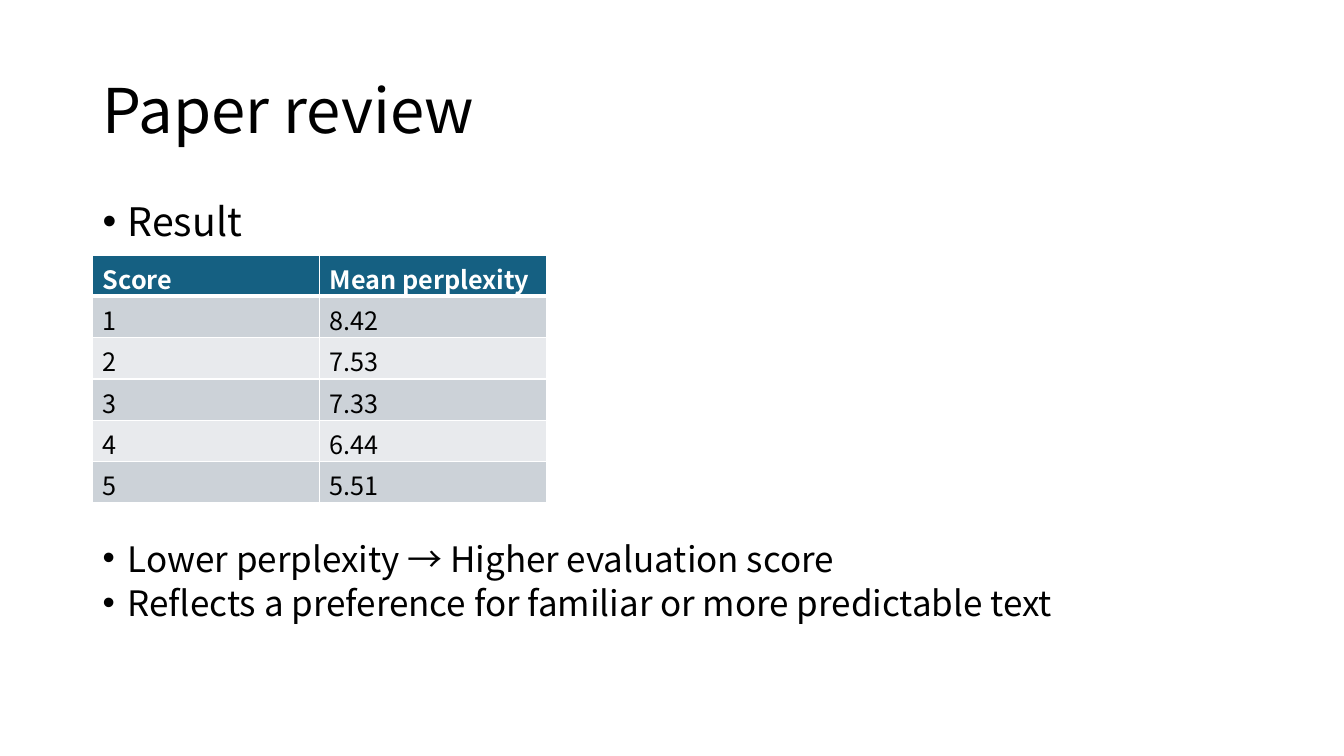
from pptx import Presentation
from pptx.dml.color import RGBColor
from pptx.enum.text import MSO_ANCHOR
from pptx.oxml import parse_xml
from pptx.oxml.ns import nsdecls
from pptx.util import Inches, Pt

FONT = "Noto Sans CJK KR"
COLORS = {
    "text": "000000",
    "white": "FFFFFF",
    "header": "156082",
    "odd": "CCD2D8",
    "even": "E8EAED",
}
LEFT, WIDTH = 0.92, 11.5
RESULTS = [
    ("Score", "Mean perplexity"),
    ("1", "8.42"),
    ("2", "7.53"),
    ("3", "7.33"),
    ("4", "6.44"),
    ("5", "5.51"),
]


class Deck:
    def __init__(self):
        self.prs = Presentation()
        self.prs.slide_width = Inches(13.33)
        self.prs.slide_height = Inches(7.5)
        self.s = self.prs.slides.add_slide(self.prs.slide_layouts[6])

    def run(self, p, text, size, color="text", bold=False):
        r = p.add_run()
        r.text = text
        r.font.name = FONT
        r.font.size = Pt(size)
        r.font.bold = bold
        r.font.color.rgb = RGBColor.from_string(COLORS[color])
        # East Asian face covers the arrow glyph
        r.font._element.append(parse_xml(f'<a:ea {nsdecls("a")} typeface="{FONT}"/>'))

    def frame(self, top, height):
        tf = self.s.shapes.add_textbox(
            Inches(LEFT), Inches(top), Inches(WIDTH), Inches(height)
        ).text_frame
        tf.word_wrap = True
        return tf

    def title(self, text, top, height):
        tf = self.frame(top, height)
        tf.vertical_anchor = MSO_ANCHOR.MIDDLE
        p = tf.paragraphs[0]
        p.line_spacing = 0.9
        self.run(p, text, 44)

    def bullets(self, items, top, height, size):
        tf = self.frame(top, height)
        for i, text in enumerate(items):
            p = tf.add_paragraph() if i else tf.paragraphs[0]
            p.line_spacing = 0.8
            if i:
                p.space_before = Pt(8)
            pPr = p._p.get_or_add_pPr()
            pPr.set("marL", str(Inches(0.25)))
            pPr.set("indent", str(-Inches(0.25)))
            pPr.append(parse_xml(f'<a:buFont {nsdecls("a")} typeface="Arial"/>'))
            pPr.append(parse_xml(f'<a:buChar {nsdecls("a")} char="•"/>'))
            self.run(p, text, size)

    def borders(self, cell, bottom):
        tcPr = cell._tc.get_or_add_tcPr()
        for i, (side, width) in enumerate(
            [("L", 1), ("R", 1), ("T", 1), ("B", bottom)]
        ):
            tcPr.insert(i, parse_xml(
                f'<a:ln{side} {nsdecls("a")} w="{Pt(width)}"><a:solidFill>'
                f'<a:srgbClr val="{COLORS["white"]}"/></a:solidFill></a:ln{side}>'
            ))

    def table(self, rows, top, col_width, row_height):
        n_rows, n_cols = len(rows), len(rows[0])
        table = self.s.shapes.add_table(
            n_rows, n_cols, Inches(LEFT), Inches(top),
            Inches(col_width * n_cols), Inches(row_height * n_rows),
        ).table
        for i, row in enumerate(rows):
            header = i == 0
            fill = "header" if header else ("odd" if i % 2 else "even")
            for j, text in enumerate(row):
                cell = table.cell(i, j)
                cell.fill.solid()
                cell.fill.fore_color.rgb = RGBColor.from_string(COLORS[fill])
                self.borders(cell, 3 if header else 1)
                self.run(cell.text_frame.paragraphs[0], text, 18,
                         "white" if header else "text", header)


def main():
    deck = Deck()
    deck.title("Paper review", 0.4, 1.45)
    deck.bullets(["Result"], 2, 0.5, 28)
    deck.table(RESULTS, 2.53, 2.25, 0.41)
    deck.bullets([
        "Lower perplexity → Higher evaluation score",
        "Reflects a preference for familiar or more predictable text",
    ], 5.36, 1.4, 25)
    deck.prs.save("out.pptx")


if __name__ == "__main__":
    main()
